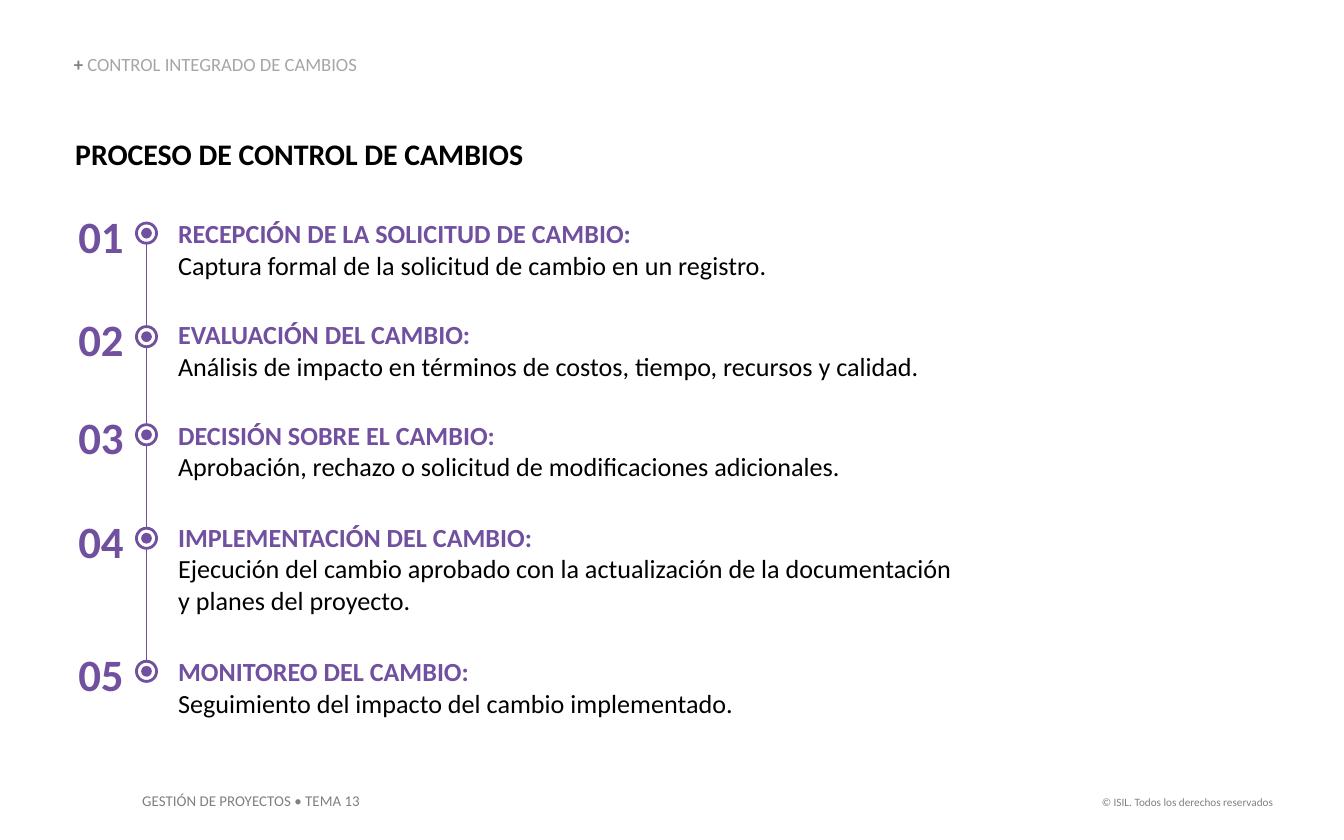
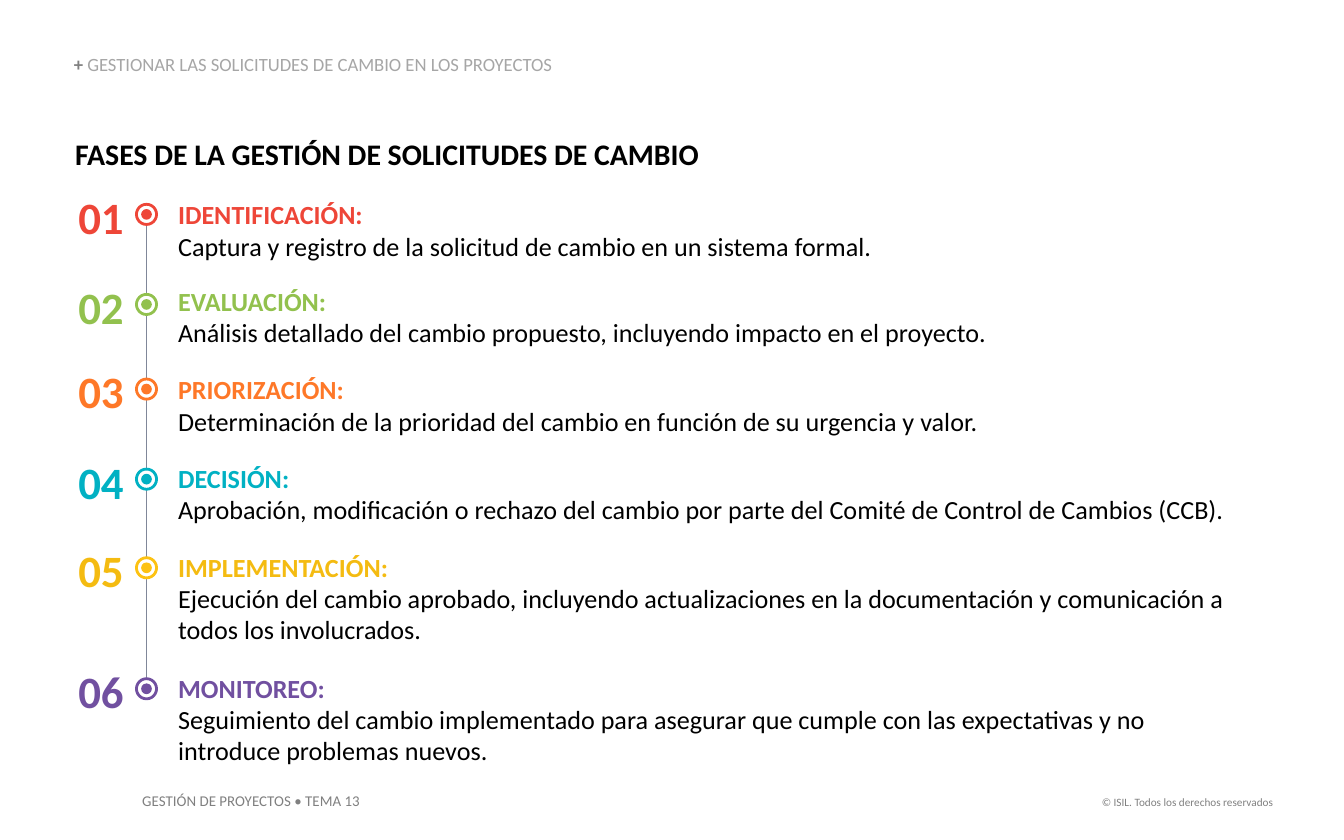
from dataclasses import dataclass
from typing import Optional

from lxml.etree import SubElement
from pptx import Presentation
from pptx.dml.color import RGBColor
from pptx.enum.shapes import MSO_CONNECTOR, MSO_SHAPE
from pptx.enum.text import MSO_ANCHOR, MSO_AUTO_SIZE, PP_ALIGN
from pptx.oxml.ns import qn
from pptx.util import Emu, Inches, Pt

SLIDE_WIDTH = Inches(10)
SLIDE_HEIGHT = Inches(6.25)
COLUMN = SLIDE_WIDTH / 100
ROW = SLIDE_HEIGHT / 62.5
FONT = "Calibri"
COLOURS = {
    "white": "FFFFFF",
    "black": "000000",
    "grey": "808080",
    "light_grey": "A6A6A6",
    "slate": "808799",
    "purple": "7150A0",
    "red": "EE4638",
    "green": "92C14E",
    "orange": "FE7828",
    "teal": "01B1C3",
    "amber": "F4BB11",
    "yellow": "FDC212",
}
TITLE_ONLY = 5
AXIS_COLUMN = 10.9
RING_SIZE = 1.5
CORE_SIZE = 0.8
LINE_ROWS = 2.37


@dataclass(frozen=True)
class Area:
    column: float
    row: float
    columns: float
    rows: float

    def emu(self) -> tuple[Emu, Emu, Emu, Emu]:
        return (
            Emu(round(self.column * COLUMN)),
            Emu(round(self.row * ROW)),
            Emu(round(self.columns * COLUMN)),
            Emu(round(self.rows * ROW)),
        )


@dataclass(frozen=True)
class Step:
    heading: str
    description: str
    marker_row: float
    text_row: float
    colour: str = "purple"
    marker_colour: Optional[str] = None
    columns: float = 79.3
    lines: int = 2


@dataclass(frozen=True)
class Process:
    topic: str
    title: str
    axis_colour: str
    steps: tuple[Step, ...]


@dataclass(frozen=True)
class FooterNote:
    text: str
    area: Area
    size: float
    align: PP_ALIGN


TITLE_AREA = Area(5.6, 10.1, 69.2, 2.7)
TOPIC_AREA = Area(5.5, 4.1, 39.2, 1.5)
FOOTER = (
    FooterNote("© ISIL. Todos los derechos reservados", Area(79.1, 58.7, 16.6, 2), 6, PP_ALIGN.RIGHT),
    FooterNote("GESTIÓN DE PROYECTOS • TEMA 13", Area(9.6, 58.4, 18.7, 2.4), 8, PP_ALIGN.LEFT),
)
PROCESSES = (
    Process(
        "CONTROL INTEGRADO DE CAMBIOS",
        "PROCESO DE CONTROL DE CAMBIOS",
        "purple",
        (
            Step(
                "RECEPCIÓN DE LA SOLICITUD DE CAMBIO:",
                "Captura formal de la solicitud de cambio en un registro.",
                16.6, 16.2, columns=45,
            ),
            Step(
                "EVALUACIÓN DEL CAMBIO:",
                "Análisis de impacto en términos de costos, tiempo, recursos y calidad.",
                24.3, 23.7, columns=56,
            ),
            Step(
                "DECISIÓN SOBRE EL CAMBIO:",
                "Aprobación, rechazo o solicitud de modificaciones adicionales.",
                31.6, 31.2, columns=55.5,
            ),
            Step(
                "IMPLEMENTACIÓN DEL CAMBIO:",
                "Ejecución del cambio aprobado con la actualización de la documentación y planes del proyecto.",
                39.3, 38.8, columns=57.8, lines=3,
            ),
            Step(
                "MONITOREO DEL CAMBIO:",
                "Seguimiento del impacto del cambio implementado.",
                49.2, 48.8, columns=56.8,
            ),
        ),
    ),
    Process(
        "GESTIONAR LAS SOLICITUDES DE CAMBIO EN LOS PROYECTOS",
        "FASES DE LA GESTIÓN DE SOLICITUDES DE CAMBIO",
        "slate",
        (
            Step(
                "IDENTIFICACIÓN:",
                "Captura y registro de la solicitud de cambio en un sistema formal.",
                15.2, 14.8, "red",
            ),
            Step(
                "EVALUACIÓN:",
                "Análisis detallado del cambio propuesto, incluyendo impacto en el proyecto.",
                21.9, 21.2, "green",
            ),
            Step(
                "PRIORIZACIÓN:",
                "Determinación de la prioridad del cambio en función de su urgencia y valor.",
                28.2, 27.8, "orange",
            ),
            Step(
                "DECISIÓN:",
                "Aprobación, modificación o rechazo del cambio por parte del Comité de Control de Cambios (CCB).",
                34.9, 34.4, "teal",
            ),
            Step(
                "IMPLEMENTACIÓN:",
                "Ejecución del cambio aprobado, incluyendo actualizaciones en la documentación y comunicación a todos los involucrados.",
                41.5, 41, "amber", "yellow", lines=3,
            ),
            Step(
                "MONITOREO:",
                "Seguimiento del cambio implementado para asegurar que cumple con las expectativas y no introduce problemas nuevos.",
                50.5, 50, lines=3,
            ),
        ),
    ),
)


def rgb(colour: str) -> RGBColor:
    return RGBColor.from_string(COLOURS[colour])


def format_run(run, size: float, colour: str, bold: bool = False) -> None:
    run.font.name = FONT
    run.font.size = Pt(size)
    run.font.bold = bold
    run.font.color.rgb = rgb(colour)


def remove_insets(frame) -> None:
    frame.margin_left = frame.margin_right = frame.margin_top = frame.margin_bottom = 0


def add_text(slide, area: Area, text: str, inset: bool = False):
    frame = slide.shapes.add_textbox(*area.emu()).text_frame
    frame.word_wrap = True
    if not inset:
        remove_insets(frame)
    frame.text = text
    return frame


def add_title(slide, text: str) -> None:
    title = slide.shapes.title
    title.left, title.top, title.width, title.height = TITLE_AREA.emu()
    frame = title.text_frame
    frame.text = text
    frame.word_wrap = True
    frame.auto_size = MSO_AUTO_SIZE.NONE
    frame.vertical_anchor = MSO_ANCHOR.TOP
    remove_insets(frame)
    frame.paragraphs[0].alignment = PP_ALIGN.LEFT
    format_run(frame.paragraphs[0].runs[0], 16, "black", True)


def add_topic(slide, topic: str) -> None:
    frame = add_text(slide, TOPIC_AREA, "+ ")
    frame.vertical_anchor = MSO_ANCHOR.BOTTOM
    paragraph = frame.paragraphs[0]
    paragraph.line_spacing = 0.9
    format_run(paragraph.runs[0], 10, "grey", True)
    topic_run = paragraph.add_run()
    topic_run.text = topic
    format_run(topic_run, 10, "light_grey")


def add_footer(slide) -> None:
    for note in FOOTER:
        paragraph = add_text(slide, note.area, note.text, inset=True).paragraphs[0]
        paragraph.alignment = note.align
        format_run(paragraph.runs[0], note.size, "grey")


def add_axis(slide, process: Process) -> None:
    first, last = process.steps[0], process.steps[-1]
    x = round(AXIS_COLUMN * COLUMN)
    axis = slide.shapes.add_connector(
        MSO_CONNECTOR.STRAIGHT,
        x, round((first.marker_row + 1.1) * ROW),
        x, round((last.marker_row + 0.3) * ROW),
    )
    axis.line.color.rgb = rgb(process.axis_colour)
    axis.line.width = Pt(1)
    SubElement(axis.element.spPr, qn("a:effectLst"))


def add_disc(group, area: Area, fill: str, outline: Optional[str] = None) -> None:
    disc = group.shapes.add_shape(MSO_SHAPE.OVAL, *area.emu())
    disc.shadow.inherit = False
    disc.fill.solid()
    disc.fill.fore_color.rgb = rgb(fill)
    if outline:
        disc.line.color.rgb = rgb(outline)
        disc.line.width = Pt(1.5)
    else:
        disc.line.fill.background()


def add_marker(slide, row: float, colour: str) -> None:
    marker = slide.shapes.add_group_shape()
    column = AXIS_COLUMN - RING_SIZE / 2
    offset = (RING_SIZE - CORE_SIZE) / 2
    add_disc(marker, Area(column, row, RING_SIZE, RING_SIZE), "white", colour)
    add_disc(marker, Area(column + offset, row + offset, CORE_SIZE, CORE_SIZE), colour)


def add_step(slide, number: int, step: Step) -> None:
    text_area = Area(13.25, step.text_row, step.columns, LINE_ROWS * step.lines)
    heading, description = add_text(
        slide, text_area, f"{step.heading}\n{step.description}"
    ).paragraphs
    format_run(heading.runs[0], 14, step.colour, True)
    format_run(description.runs[0], 14, "black")

    number_area = Area(4.8, step.marker_row - 1.1, 4.4, 4)
    label = add_text(slide, number_area, f"{number:02d}").paragraphs[0]
    label.alignment = PP_ALIGN.RIGHT
    format_run(label.runs[0], 24, step.colour, True)

    add_marker(slide, step.marker_row, step.marker_colour or step.colour)


def add_process(deck, process: Process) -> None:
    slide = deck.slides.add_slide(deck.slide_layouts[TITLE_ONLY])
    slide.background.fill.solid()
    slide.background.fill.fore_color.rgb = rgb("white")
    add_footer(slide)
    add_title(slide, process.title)
    add_topic(slide, process.topic)
    add_axis(slide, process)
    for number, step in enumerate(process.steps, start=1):
        add_step(slide, number, step)


def main() -> None:
    deck = Presentation()
    deck.slide_width = SLIDE_WIDTH
    deck.slide_height = SLIDE_HEIGHT
    for process in PROCESSES:
        add_process(deck, process)
    deck.save("out.pptx")


if __name__ == "__main__":
    main()
